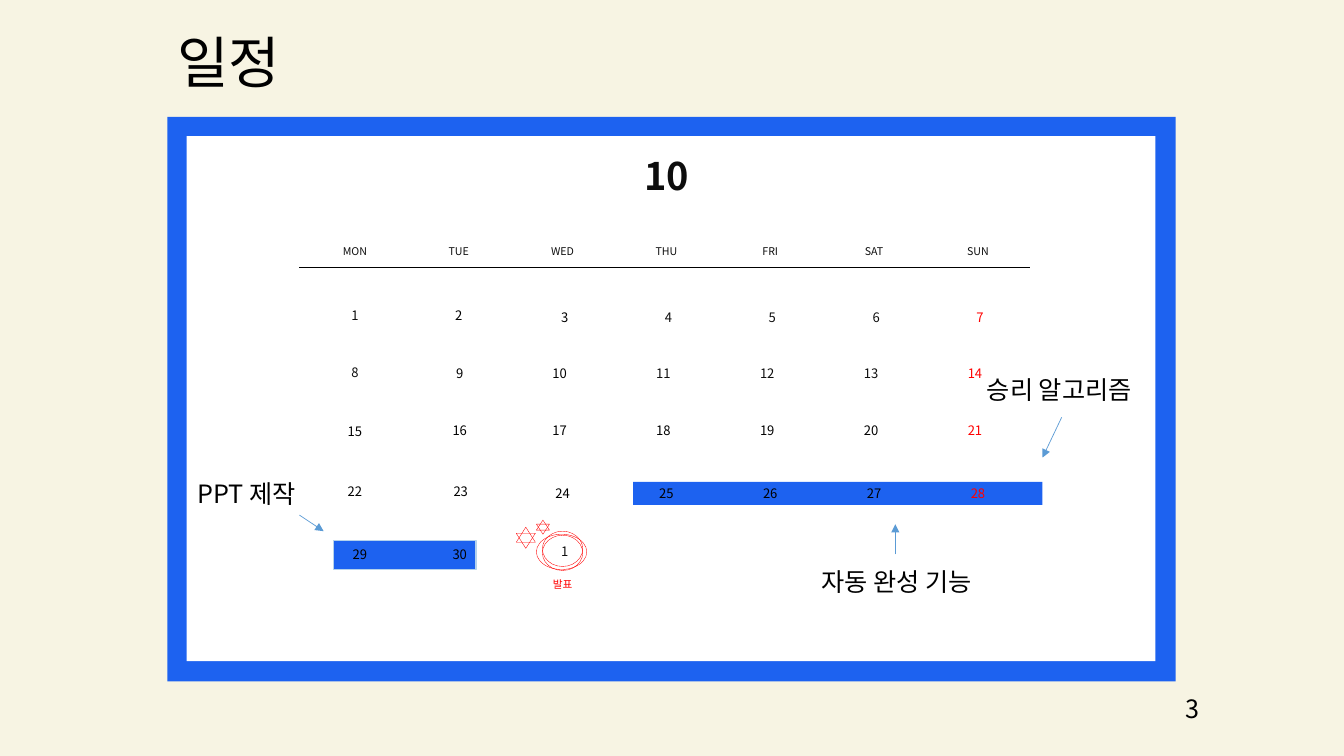
from lxml.etree import SubElement
from pptx import Presentation
from pptx.dml.color import RGBColor
from pptx.enum.shapes import MSO_CONNECTOR, MSO_SHAPE
from pptx.enum.text import MSO_ANCHOR, MSO_AUTO_SIZE, PP_ALIGN
from pptx.oxml.ns import qn
from pptx.util import Inches, Pt

COLORS = {
    "cream": "F7F4E3", "blue": "1D62F0", "pale_blue": "B5D2EC",
    "arrow": "5B9BD5", "white": "FFFFFF", "black": "000000",
    "ink": "0D0D0D", "red": "FF0000",
}
FONT = "Noto Sans CJK KR"

WEEKDAYS = ["MON", "TUE", "WED", "THU", "FRI", "SAT", "SUN"]
DAY_PITCH = 10.3
INK_DAYS = {1, 4, 5, 6, 8, 11, 12, 13}
# First day, number of days, left column, top row, width
DAY_RUNS = [
    (1, 2, 30.2, 30, 10), (3, 5, 51, 30.2, 10),
    (8, 1, 30.2, 35.7, 10), (9, 1, 40.6, 35.8, 10), (10, 5, 50.5, 35.8, 10),
    (15, 1, 30.2, 41.5, 10), (16, 1, 40.6, 41.4, 10), (17, 5, 50.5, 41.4, 10),
    (22, 1, 30.2, 47.5, 10), (23, 1, 40.7, 47.5, 10), (24, 5, 50.8, 47.7, 10),
    (29, 1, 31, 53.7, 9.4), (30, 1, 40.9, 53.7, 9.4),
]
# Text, box, arrow start, arrow end
NOTES = [
    ("승리 알고리즘", (96.9, 36.6, 19.2, 4), (105.3, 41.4), (103.4, 45.4)),
    ("자동 완성 기능", (80.5, 55.7, 19, 4), (88.8, 55), (88.8, 52)),
    ("PPT 제작", (18.6, 47, 12.5, 4), (29.7, 51.1), (32.1, 52.7)),
]
# Left, width, height and the tops of the upright and the turned triangle
STARS = [(51.2, 1.9, 1.5, 52.3, 52.9), (53.2, 1.3, 1, 51.6, 52)]
RINGS = [(53.8, 53.1, 4, 3.5), (53.8, 52.7, 4, 3.5), (53.2, 53, 5, 3.5)]


def rgb(color):
    return RGBColor.from_string(COLORS[color])


def cells(*counts):
    """Turn counts of grid columns or rows, each 0.1 inch, into lengths."""
    return [Inches(count / 10) for count in counts]


class CalendarSlide:
    def __init__(self, presentation):
        self.slide = presentation.slides.add_slide(presentation.slide_layouts[5])
        fill = self.slide.background.fill
        fill.solid()
        fill.fore_color.rgb = rgb("cream")

    def set_text(self, text_frame, text, size, color, align, bold=False):
        text_frame.text = text
        text_frame.word_wrap = True
        paragraph = text_frame.paragraphs[0]
        paragraph.alignment = align
        for run in paragraph.runs:
            font = run.font
            font.name, font.size, font.bold = FONT, Pt(size), bold
            font.color.rgb = rgb(color)
            SubElement(run._r.get_or_add_rPr(), qn("a:ea"), typeface=FONT)

    def title(self, text, box):
        shape = self.slide.shapes.title
        shape.left, shape.top, shape.width, shape.height = cells(*box)
        self.set_text(shape.text_frame, text, 40, "black", PP_ALIGN.LEFT)
        shape.text_frame.auto_size = MSO_AUTO_SIZE.NONE
        shape.text_frame.vertical_anchor = MSO_ANCHOR.MIDDLE

    def text(self, text, box, size, color="black", align=PP_ALIGN.CENTER, bold=False):
        text_frame = self.slide.shapes.add_textbox(*cells(*box)).text_frame
        self.set_text(text_frame, text, size, color, align, bold)
        text_frame.auto_size = MSO_AUTO_SIZE.SHAPE_TO_FIT_TEXT

    def shape(self, kind, box, fill=None, line=None, line_width=0.25, rotation=0):
        shape = self.slide.shapes.add_shape(kind, *cells(*box))
        shape.shadow.inherit = False
        shape.rotation = rotation
        if fill:
            shape.fill.solid()
            shape.fill.fore_color.rgb = rgb(fill)
        else:
            shape.fill.background()
        if line:
            shape.line.color.rgb = rgb(line)
            shape.line.width = Pt(line_width)
        else:
            shape.line.fill.background()

    def line(self, start, end, color, width, arrow=False):
        connector = self.slide.shapes.add_connector(
            MSO_CONNECTOR.STRAIGHT, *cells(*start, *end))
        connector.line.color.rgb = rgb(color)
        connector.line.width = Pt(width)
        if arrow:
            SubElement(connector.line._get_or_add_ln(), qn("a:tailEnd"), type="triangle")
        SubElement(connector._element.spPr, qn("a:effectLst"))


def draw_calendar(page):
    page.shape(MSO_SHAPE.RECTANGLE, (16.6, 11.6, 100, 56), "blue")
    page.shape(MSO_SHAPE.RECTANGLE, (18.5, 13.5, 96.1, 52.1), "white")
    page.text("10", (61.1, 14.6, 10, 5.6), 27.1, "ink", bold=True)
    page.line((29.7, 26.5), (102.2, 26.5), "black", 0.25)
    for column, weekday in enumerate(WEEKDAYS):
        page.text(weekday, (30.2 + column * DAY_PITCH, 23.8, 10, 2.3), 7.6, "ink")

    page.shape(MSO_SHAPE.RECTANGLE, (62.8, 47.8, 40.6, 2.3), "blue")
    page.shape(MSO_SHAPE.RECTANGLE, (33.1, 53.6, 14.1, 2.9), "blue", "pale_blue", 1)
    for first, count, left, top, width in DAY_RUNS:
        for step in range(count):
            day = first + step
            color = "red" if day % 7 == 0 else "ink" if day in INK_DAYS else "black"
            page.text(str(day), (left + step * DAY_PITCH, top, width, 2.6), 9.3, color)


def draw_presentation_day(page):
    for left, width, height, upright_top, turned_top in STARS:
        for top, rotation in ((upright_top, 0), (turned_top, 180)):
            page.shape(MSO_SHAPE.ISOSCELES_TRIANGLE, (left, top, width, height),
                       line="red", rotation=rotation)
    page.text("발표", (50.5, 56.8, 10.6, 2.3), 7.6, "red")
    for ring in RINGS:
        page.shape(MSO_SHAPE.OVAL, ring, line="red")
    page.text("1", (51, 53.4, 10, 2.6), 9.3, "ink")


def main():
    presentation = Presentation()
    presentation.slide_width, presentation.slide_height = Inches(13.33), Inches(7.5)
    page = CalendarSlide(presentation)
    page.title("일정", (16.6, 2.2, 39.3, 7.7))
    draw_calendar(page)
    draw_presentation_day(page)
    for note, box, start, end in NOTES:
        page.line(start, end, "arrow", 0.5, arrow=True)
        page.text(note, box, 18, align=PP_ALIGN.LEFT)
    page.text("3", (116.6, 68.3, 6.8, 4), 18, align=PP_ALIGN.LEFT)
    presentation.save("out.pptx")


if __name__ == "__main__":
    main()
